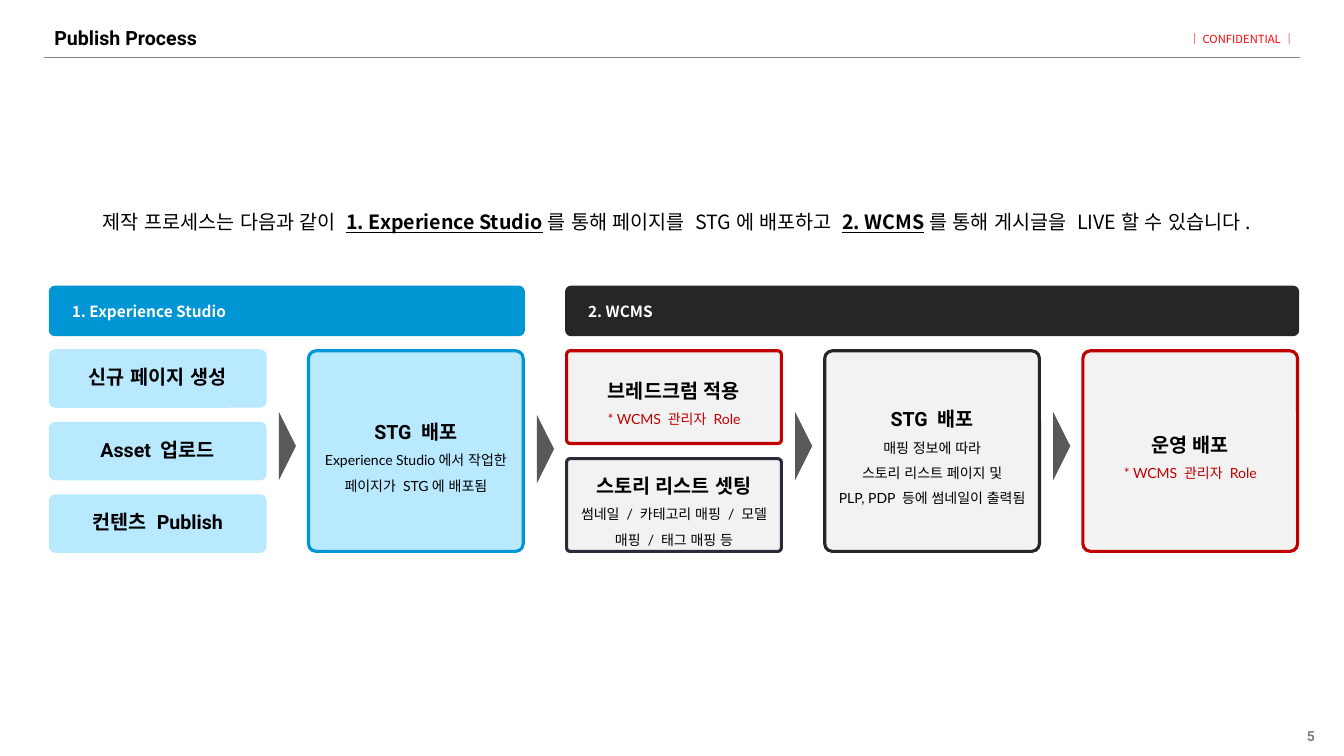
"""Build the Publish Process slide with its two-stage flow diagram."""
from dataclasses import dataclass

from lxml import etree
from pptx import Presentation
from pptx.dml.color import RGBColor
from pptx.enum.lang import MSO_LANGUAGE_ID as Language
from pptx.enum.shapes import MSO_CONNECTOR as Connector, MSO_SHAPE as Shape
from pptx.enum.text import MSO_ANCHOR as Anchor, PP_ALIGN as Align
from pptx.oxml.ns import qn
from pptx.util import Inches, Pt


@dataclass(frozen=True)
class Theme:
    black: str = "000000"
    white: str = "FFFFFF"
    blue: str = "0096D6"
    pale_blue: str = "B9E9FF"
    charcoal: str = "262626"
    navy: str = "292B3B"
    arrow: str = "595959"
    gray: str = "7F7F7F"
    light: str = "F2F2F2"
    crimson: str = "C00000"
    red: str = "FF0000"
    heading_font: str = "Roboto"
    body_font: str = "Lato"
    korean_font: str = "Noto Sans CJK KR"
    heading: int = 14
    banner: int = 11
    body: int = 10
    tag: int = 8


theme = Theme()


def write(shape, paragraphs, align, spacing=None, anchor=Anchor.MIDDLE, margin=0.1):
    """Fill a shape with paragraphs of (text, size, font, color, bold, underline) runs."""
    frame = shape.text_frame
    frame.word_wrap = True
    frame.vertical_anchor = anchor
    frame.margin_left = frame.margin_right = Inches(margin)
    frame.margin_top = frame.margin_bottom = Inches(0.05)
    for index, runs in enumerate(paragraphs):
        paragraph = frame.add_paragraph() if index else frame.paragraphs[0]
        paragraph.alignment = align
        paragraph.line_spacing = spacing
        for text, size, font, color, bold, underline in runs:
            run = paragraph.add_run()
            run.text = text
            run.font.size = Pt(size)
            run.font.name = font
            run.font.color.rgb = RGBColor.from_string(color)
            run.font.bold = bold
            run.font.underline = underline
            run.font.language_id = Language.KOREAN


def add_block(kind, left, top, width, height, fill, line=None, corner=None):
    """Add a flat filled shape with an optional outline and corner radius."""
    shape = slide.shapes.add_shape(kind, Inches(left), Inches(top), Inches(width), Inches(height))
    shape.shadow.inherit = False
    shape.fill.solid()
    shape.fill.fore_color.rgb = RGBColor.from_string(fill)
    if line:
        shape.line.color.rgb = RGBColor.from_string(line)
        shape.line.width = Pt(2.25)
    else:
        shape.line.fill.background()
    if corner:
        shape.adjustments[0] = corner
    return shape


presentation = Presentation()
presentation.slide_width = Inches(13.33)
presentation.slide_height = Inches(7.5)
slide = presentation.slides.add_slide(presentation.slide_layouts[6])

rule = slide.shapes.add_connector(
    Connector.STRAIGHT, Inches(0.44), Inches(0.57), Inches(12.89), Inches(0.57))
rule.line.color.rgb = RGBColor.from_string(theme.gray)
rule.line.width = Pt(0.75)
etree.SubElement(rule._element.spPr, qn("a:effectLst"))

title = ("Publish Process", theme.heading, theme.heading_font, theme.black, True, False)
page_number = ("5", theme.body, theme.heading_font, theme.gray, True, False)
confidential = [(text, theme.tag, theme.korean_font, theme.red, bold, False)
                for text, bold in (("｜", True), ("CONFIDENTIAL", False), ("｜", True))]
summary = [(text, theme.heading, theme.korean_font, theme.black, strong, strong)
           for text, strong in (
               ("제작 프로세스는 다음과 같이 ", False),
               ("1. Experience Studio", True),
               ("를 통해 페이지를 STG에 배포하고 ", False),
               ("2. WCMS", True),
               ("를 통해 게시글을 LIVE할 수 있습니다.", False))]

for left, top, width, height, runs, align, spacing, anchor, margin in (
    (10.14, 7.2, 3, 0.2, [page_number], Align.RIGHT, None, Anchor.MIDDLE, 0.1),
    (11.79, 0.27, 1.11, 0.24, confidential, Align.JUSTIFY, None, Anchor.TOP, 0),
    (0.44, 0.21, 12.46, 0.35, [title], Align.LEFT, 0.9, Anchor.MIDDLE, 0.1),
    (0.92, 2.04, 11.53, 0.35, summary, Align.CENTER, 0.9, Anchor.MIDDLE, 0.1),
):
    box = slide.shapes.add_textbox(Inches(left), Inches(top), Inches(width), Inches(height))
    write(box, [runs], align, spacing, anchor, margin)

card_width, card_top = 2.13, 3.48
full_height, half_height, half_pitch = 1.99, 0.92, 1.07
step_height, step_pitch = 0.55, 0.72
column_pitch = 2.56
columns = [0.5 + column_pitch * index for index in range(5)]

for text, first, last, color in (
    ("1. Experience Studio", 0, 1, theme.blue),
    ("2. WCMS", 2, 4, theme.charcoal),
):
    width = columns[last] + card_width - columns[first]
    banner = add_block(Shape.ROUNDED_RECTANGLE, columns[first], 2.85, width, 0.47,
                       color, color, 0.094)
    write(banner, [[(text, theme.banner, theme.korean_font, theme.white, True, False)]],
          Align.LEFT, margin=0.2)

role = "* WCMS 관리자 Role"
for column, row, height, fill, line, heading, details, detail_color in (
    (1, 0, full_height, theme.pale_blue, theme.blue, "STG 배포",
     ("Experience Studio에서 작업한", "페이지가 STG에 배포됨"), theme.black),
    (2, 0, half_height, theme.light, theme.crimson, "브레드크럼 적용", (role,), theme.crimson),
    (2, 1, half_height, theme.light, theme.navy, "스토리 리스트 셋팅",
     ("썸네일 / 카테고리 매핑 / 모델 매핑 / 태그 매핑 등",), theme.black),
    (3, 0, full_height, theme.light, theme.charcoal, "STG 배포",
     ("매핑 정보에 따라", "스토리 리스트 페이지 및", "PLP, PDP 등에 썸네일이 출력됨"), theme.black),
    (4, 0, full_height, theme.light, theme.crimson, "운영 배포", (role,), theme.crimson),
):
    card = add_block(Shape.ROUNDED_RECTANGLE, columns[column], card_top + half_pitch * row,
                     card_width, height, fill, line, 0.038)
    lines = [[(heading, theme.heading, theme.heading_font, theme.black, True, False)]]
    lines += [[(detail, theme.body, theme.body_font, detail_color, False, False)]
              for detail in details]
    write(card, lines, Align.CENTER, 1.5)

for left, top in zip(columns, (4.34, 4.37, 4.34, 4.34)):
    arrow = add_block(Shape.ISOSCELES_TRIANGLE, left + 2.01, top, 0.68, 0.17, theme.arrow)
    arrow.rotation = 90

for row, text in enumerate(("신규 페이지 생성", "Asset 업로드", "컨텐츠 Publish")):
    step = add_block(Shape.ROUNDED_RECTANGLE, columns[0], card_top + step_pitch * row,
                     card_width, step_height, theme.pale_blue, theme.pale_blue, 0.094)
    write(step, [[(text, theme.heading, theme.heading_font, theme.black, True, False)]],
          Align.CENTER, 0.9)

presentation.save("out.pptx")
